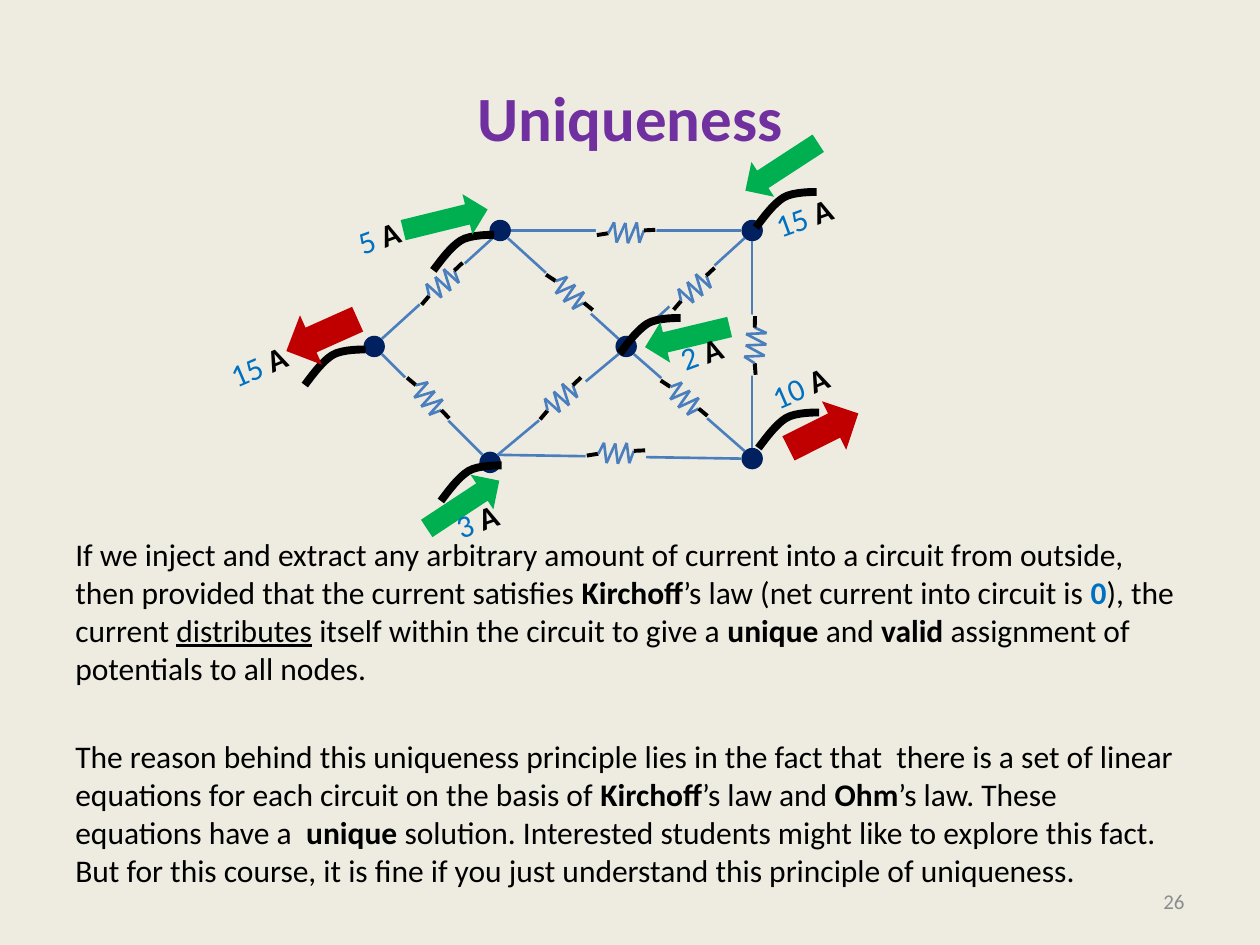
import math
from dataclasses import dataclass

import pptx
import pptx.dml.color
import pptx.enum.shapes
import pptx.enum.text
import pptx.oxml.ns
import pptx.util
from lxml import etree

Inches = pptx.util.Inches
SHAPE = pptx.enum.shapes.MSO_SHAPE
ALIGN = pptx.enum.text.PP_ALIGN
ANCHOR = pptx.enum.text.MSO_ANCHOR
qn = pptx.oxml.ns.qn


@dataclass(frozen=True)
class Theme:
    font: str = "Calibri"
    ground: str = "EEECE1"
    title: str = "7030A0"
    text: str = "000000"
    value: str = "0070C0"
    number: str = "8C8C8C"
    node: str = "002060"
    wire: str = "4B7EBC"
    inflow: str = "00B050"
    outflow: str = "C00000"
    title_size: int = 36
    body_size: int = 18
    number_size: int = 12
    wire_width: float = 1.5
    lead_width: float = 2.25
    terminal_width: float = 4.5


THEME = Theme()
DIAGONAL = 0.06
DIAMETER = 0.17
RADIUS = DIAMETER / 2

# Node centres, relative to the circuit box
NODES = {
    "west": (1.97, 1.75), "south": (2.89, 2.67), "north": (2.97, 0.83),
    "northeast": (4.97, 0.83), "southeast": (4.97, 2.64), "centre": (3.97, 1.75),
}
# Each wire: node and direction it leaves in, at both ends
WIRES = [
    ("west", (1, 1), "south", (-1, -1)),
    ("west", (1, -1), "north", (-1, 1)),
    ("centre", (-1, -1), "north", (1, 1)),
    ("centre", (1, -1), "northeast", (-1, 1)),
    ("south", (1, -1), "southeast", (-1, 0)),
    ("south", (1, -1), "centre", (-1, 1)),
    ("southeast", (-1, -1), "centre", (1, 1)),
    ("northeast", (-1, 0), "north", (1, 0)),
    ("southeast", (0, -1), "northeast", (0, 1)),
]
# Resistor centres and angles
RESISTORS = [
    (4.98, 1.74, 278.1), (4.5, 1.28, 323), (2.5, 1.24, 323),
    (3.44, 2.15, 323), (3.89, 2.58, 3.5), (4.44, 2.15, 45.7),
    (3.53, 1.31, 45.7), (2.41, 2.15, 52.6), (3.97, 0.83, 3.5),
]
ZIGZAG = [
    (-0.23, 0.05), (-0.14, 0.03), (-0.1, -0.06), (-0.07, 0.1), (-0.01, -0.06),
    (0.02, 0.1), (0.08, -0.07), (0.11, 0.09), (0.14, -0.01), (0.23, -0.02),
]
# Terminal corners, and the start and control points of two joined cubic curves
TERMINALS = [(5.07, 2.21), (2.49, 0.8), (1.47, 1.71),
             (5.05, 0.46), (3.97, 1.46), (2.55, 2.63)]
TERMINAL_ANGLE = 16.8
TERMINAL_CURVE = [(0, 0.41), (0.04, 0.3), (0.08, 0.19), (0.14, 0.12),
                  (0.2, 0.05), (0.38, 0), (0.38, 0)]
# Arrow place and angle, label, label place and angle
OUTFLOWS = [
    (1.34, 1.35, 245.9, "15", 0.72, 1.7, 336.6),
    (5.32, 2.11, 63.4, "10", 5.02, 1.87, 336.6),
]
INFLOWS = [
    (2.37, 0.4, 76.2, "5", 1.74, 0.68, 340),
    (5.04, -0.02, 236.9, "15", 5.05, 0.52, 340),
    (4.29, 1.33, 256.6, "2", 4.3, 1.6, 340),
    (2.51, 2.66, 56.6, "3", 2.52, 2.93, 340),
]


def rgb(value):
    return pptx.dml.color.RGBColor.from_string(value)


def style_font(font, size, color, bold=None):
    font.name = THEME.font
    font.size = pptx.util.Pt(size)
    font.color.rgb = rgb(color)
    font.bold = bold


def add_line(shapes, start, end, color, width):
    line = shapes.add_connector(pptx.enum.shapes.MSO_CONNECTOR.STRAIGHT,
                                *(Inches(v) for v in (*start, *end)))
    line.line.color.rgb = rgb(color)
    line.line.width = pptx.util.Pt(width)
    etree.SubElement(line._element.spPr, qn("a:effectLst"))


def add_filled(shapes, kind, box, color, angle=0):
    shape = shapes.add_shape(kind, *(Inches(v) for v in box))
    shape.shadow.inherit = False
    shape.fill.solid()
    shape.fill.fore_color.rgb = rgb(color)
    shape.line.fill.background()
    shape.rotation = angle


def add_text_box(page, box, anchor=ANCHOR.TOP, wrap=True):
    text_box = page.shapes.add_textbox(*(Inches(v) for v in box))
    text_box.text_frame.word_wrap = wrap
    text_box.text_frame.vertical_anchor = anchor
    return text_box


def add_single_line(page, box, text, align, size, color, bold=None):
    para = add_text_box(page, box, ANCHOR.MIDDLE).text_frame.paragraphs[0]
    para.text = text
    para.alignment = align
    style_font(para.font, size, color, bold)


def add_resistor(page, x, y, angle):
    group = page.shapes.add_group_shape().shapes
    add_filled(group, SHAPE.RECTANGLE, (x - 0.24, y - 0.155, 0.48, 0.31), THEME.ground, angle)
    cos, sin = math.cos(math.radians(angle)), math.sin(math.radians(angle))
    points = [(x + u * cos - v * sin, y + u * sin + v * cos) for u, v in ZIGZAG]
    last = len(points) - 2
    for index, (start, end) in enumerate(zip(points, points[1:])):
        if index in (0, last):
            add_line(group, start, end, THEME.text, THEME.lead_width)
        else:
            add_line(group, start, end, THEME.wire, THEME.wire_width)


def add_terminal(shapes, left, top):
    points = [(Inches(left + x), Inches(top + y)) for x, y in TERMINAL_CURVE]
    builder = shapes.build_freeform(*points[0])
    builder.add_line_segments(points[1:], close=False)
    shape = builder.convert_to_shape()
    # Turn each three straight segments into one cubic curve
    segments = list(shape._element.iter(qn("a:lnTo")))
    for first in range(0, len(segments), 3):
        curve = etree.Element(qn("a:cubicBezTo"))
        segments[first].addprevious(curve)
        for segment in segments[first:first + 3]:
            curve.append(segment[0])
            segment.getparent().remove(segment)
    shape.rotation = TERMINAL_ANGLE
    shape.shadow.inherit = False
    shape.fill.background()
    shape.line.color.rgb = rgb(THEME.text)
    shape.line.width = pptx.util.Pt(THEME.terminal_width)


def add_current(page, left, top, flow, size, color):
    x, y, angle, amount, label_x, label_y, label_angle = flow
    add_filled(page.shapes, SHAPE.UP_ARROW, (left + x, top + y, *size), color, angle)
    width = 0.54 if len(amount) == 1 else 0.67
    label = add_text_box(page, (left + label_x, top + label_y, width, 0.4), wrap=False)
    label.text_frame.auto_size = pptx.enum.text.MSO_AUTO_SIZE.SHAPE_TO_FIT_TEXT
    label.rotation = label_angle
    para = label.text_frame.paragraphs[0]
    for text, ink, bold in ((amount + " ", THEME.value, None), ("A", THEME.text, True)):
        span = para.add_run()
        span.text = text
        style_font(span.font, THEME.body_size, ink, bold)


def add_circuit(page, left, top):
    # Nodes and wires
    for x, y in NODES.values():
        add_filled(page.shapes, SHAPE.OVAL,
                   (left + x - RADIUS, top + y - RADIUS, DIAMETER, DIAMETER), THEME.node)

    def wire_end(node, direction):
        reach = DIAGONAL if all(direction) else RADIUS
        x, y = NODES[node]
        return left + x + reach * direction[0], top + y + reach * direction[1]

    for first, leaving, second, arriving in WIRES:
        add_line(page.shapes, wire_end(first, leaving), wire_end(second, arriving),
                 THEME.wire, THEME.wire_width)
    # Resistors, terminals and outside currents
    for x, y, angle in RESISTORS:
        add_resistor(page, left + x, top + y, angle)
    terminals = page.shapes.add_group_shape().shapes
    for x, y in TERMINALS:
        add_terminal(terminals, left + x, top + y)
    for flow in OUTFLOWS:
        add_current(page, left, top, flow, (0.43, 0.62), THEME.outflow)
    for flow in INFLOWS:
        add_current(page, left, top, flow, (0.33, 0.69), THEME.inflow)


def add_explanation(page, box):
    # Bold words stand between asterisks, underlined ones between underscores
    paragraphs = [
        "If we inject and extract any arbitrary amount of current into a circuit from outside, then provided that the current satisfies |*Kirchoff|’s law (net current into circuit is |*0|), the current |_distributes| itself within the circuit to give a |*unique |and |*valid| assignment of potentials to all nodes.",
        "The reason behind this uniqueness principle lies in the fact that  there is a set of linear equations for each circuit on the basis of |*Kirchoff|’s law and |*Ohm|’s law. These equations have a  |*unique| solution. Interested students might like to explore this fact. But for this course, it is fine if you just understand this principle of uniqueness.",
    ]
    frame = add_text_box(page, box).text_frame
    frame.margin_top = Inches(2.5)
    for index, marked in enumerate(paragraphs):
        para = frame.add_paragraph() if index else frame.paragraphs[0]
        para.space_before = pptx.util.Pt(29 if index else 0)
        for part in marked.split("|"):
            span = para.add_run()
            span.text = part.lstrip("*_")
            color = THEME.value if span.text == "0" else THEME.text
            style_font(span.font, THEME.body_size, color, part.startswith("*") or None)
            span.font.underline = part.startswith("_") or None


def main():
    deck = pptx.Presentation()
    deck.slide_width, deck.slide_height = Inches(10), Inches(7.5)
    page = deck.slides.add_slide(deck.slide_layouts[6])
    page.background.fill.solid()
    page.background.fill.fore_color.rgb = rgb(THEME.ground)
    add_single_line(page, (0.5, 0.3, 9, 1.25), "Uniqueness", ALIGN.CENTER,
                    THEME.title_size, THEME.title, True)
    add_explanation(page, (0.5, 1.75, 9, 5.5))
    add_single_line(page, (7.17, 6.95, 2.33, 0.4), "26", ALIGN.RIGHT,
                    THEME.number_size, THEME.number)
    add_circuit(page, 1, 1)
    deck.save("out.pptx")


if __name__ == "__main__":
    main()
